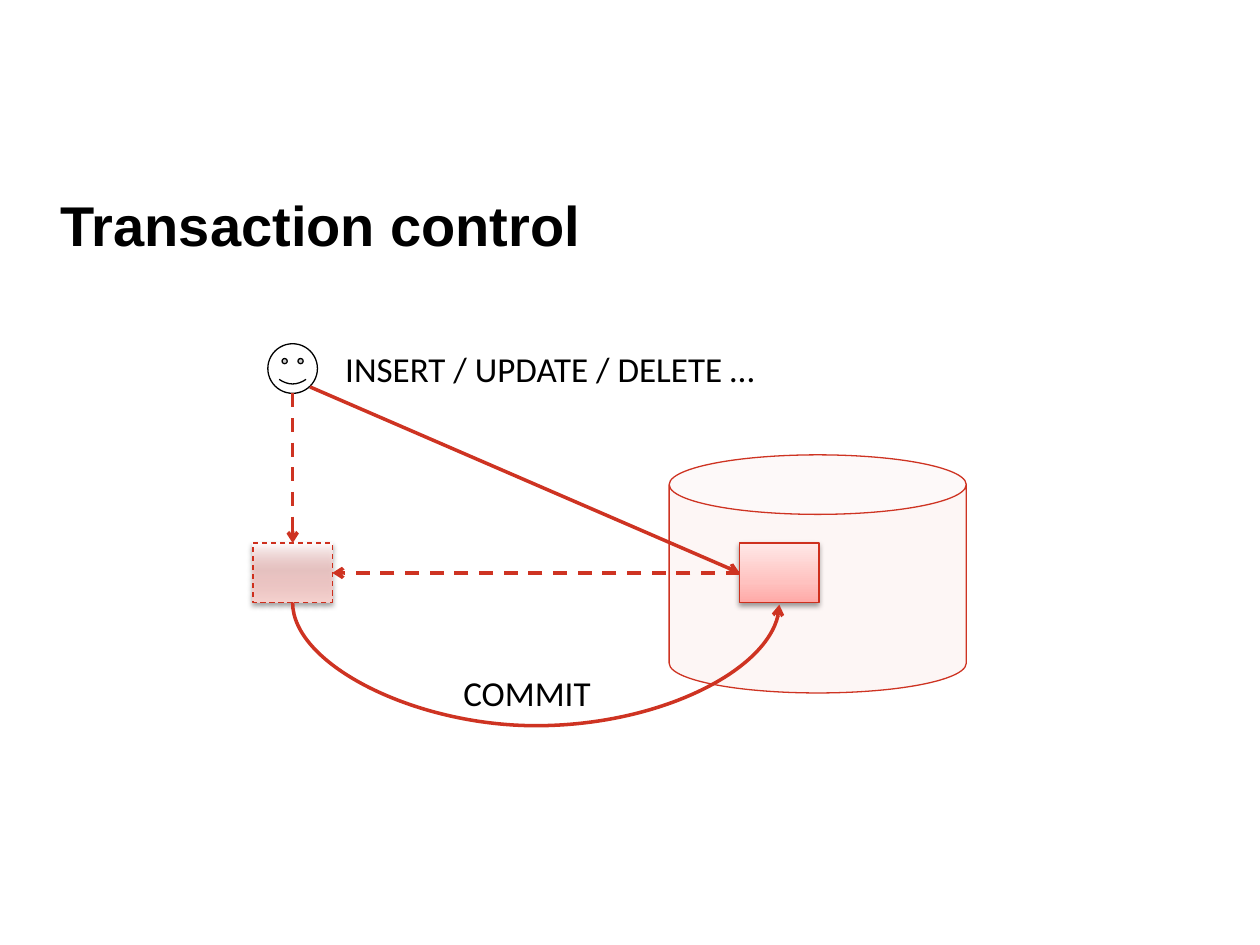
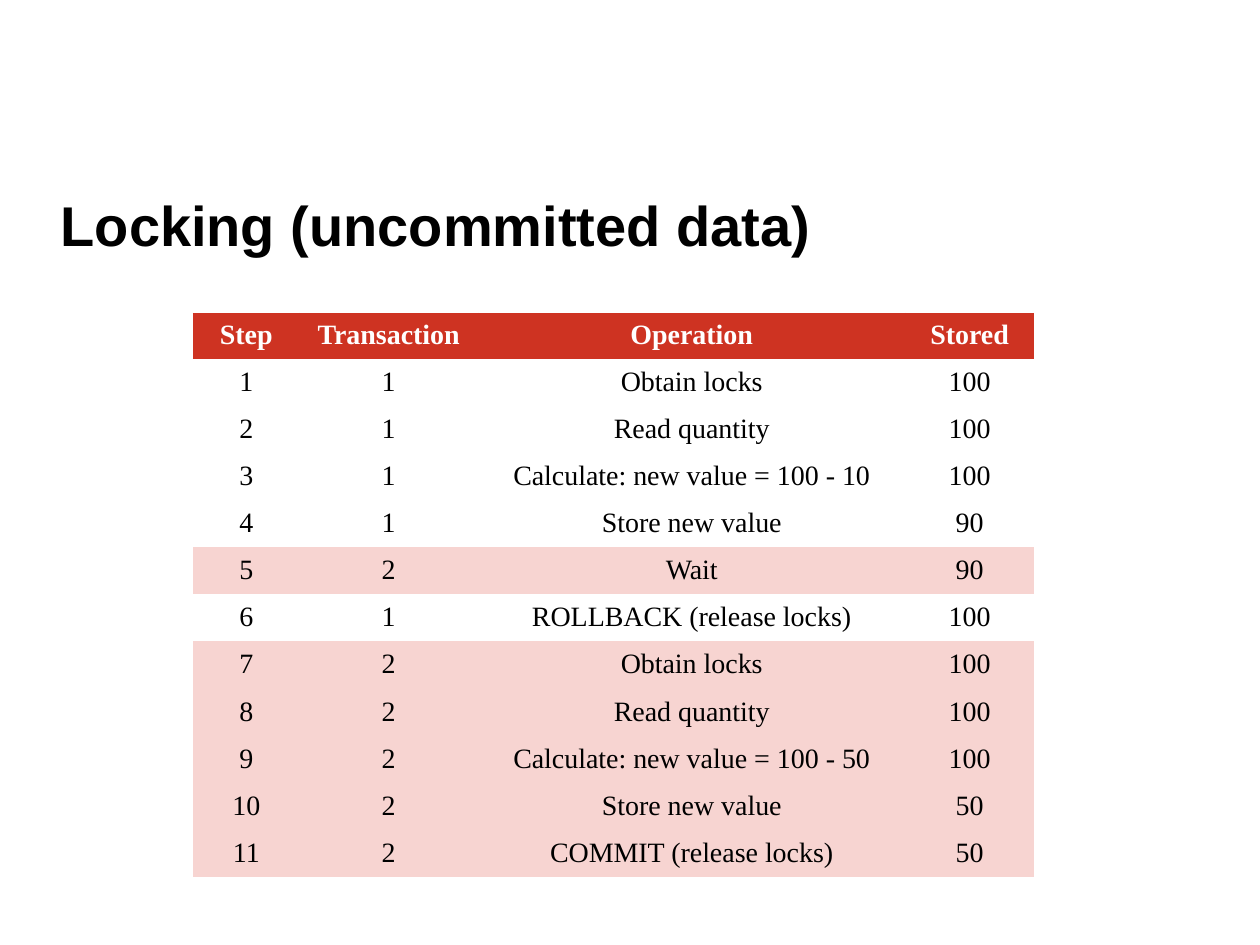
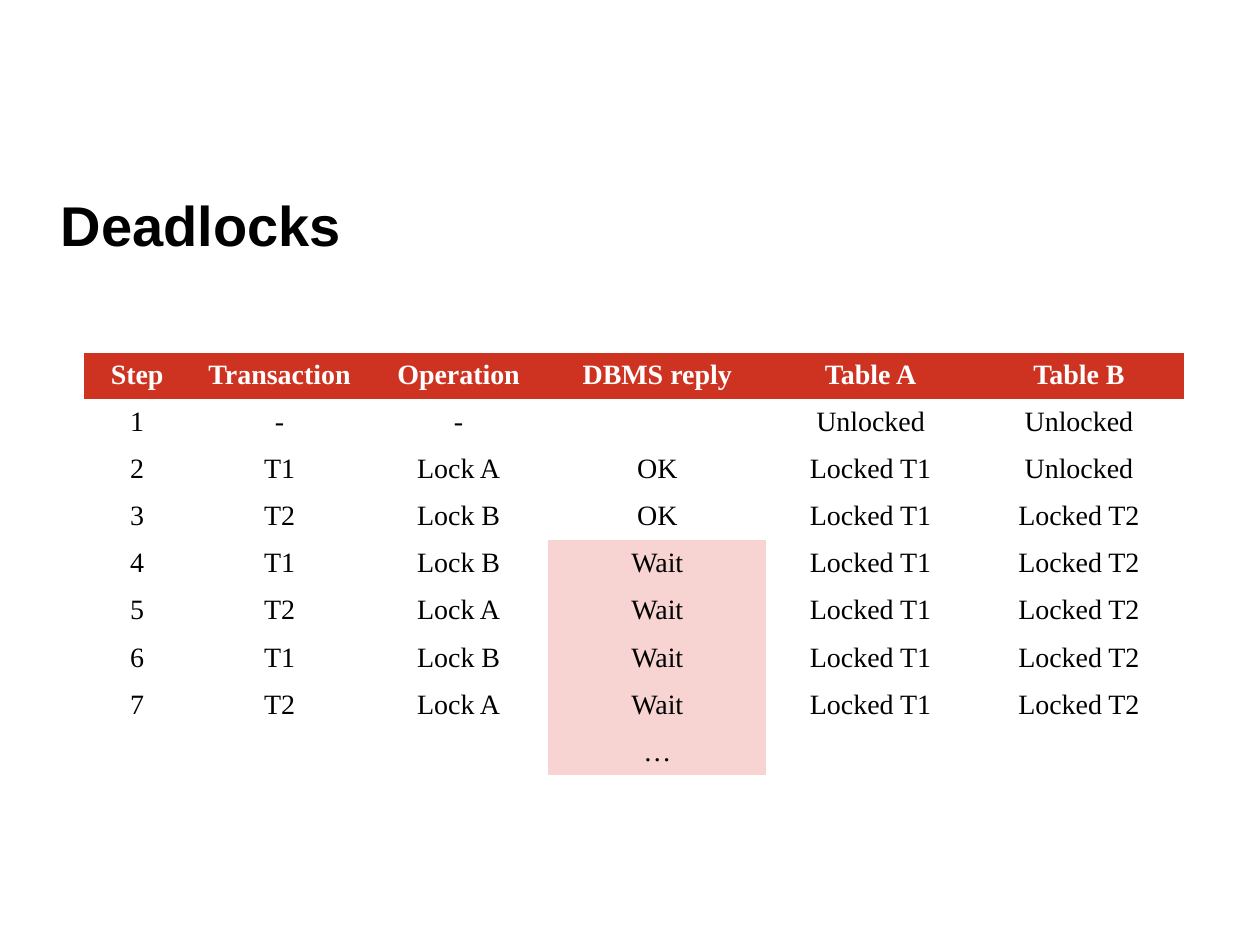
from dataclasses import dataclass

from lxml.etree import SubElement
from pptx import Presentation
from pptx.dml.color import RGBColor
from pptx.enum.dml import MSO_LINE
from pptx.enum.shapes import MSO_CONNECTOR, MSO_SHAPE
from pptx.enum.text import MSO_ANCHOR, PP_ALIGN
from pptx.oxml.ns import qn
from pptx.util import Cm, Pt


@dataclass(frozen=True)
class Theme:
    black: str = "000000"
    white: str = "FFFFFF"
    red: str = "CE3322"
    box_line: str = "CE2F1D"
    pale_red: str = "F7D4D1"
    cylinder: str = "FDF6F5"
    # Gradient stops, bottom to top: position %, colour, opacity %
    solid_box: tuple = ((0, "FFA9A7", 100), (35, "FFC2C0", 100), (100, "FFE8E7", 100))
    faded_box: tuple = ((0, "F7D4D1", 100), (53, "FFC2C0", 60), (100, "FFFFFF", 100))
    title_font: str = "Arial"
    label_font: str = "Calibri"
    table_font: str = "Times New Roman"
    title_size: int = 32
    label_size: int = 20
    table_size: int = 16
    thin: float = 0.75
    thick: float = 2


NO_TABLE_STYLE = "{2D5ABB26-0587-4C30-8999-92F81FD0307C}"


def rgb(value):
    return RGBColor.from_string(value)


def sub(parent, tag, **attrs):
    return SubElement(parent, qn(tag), {k: str(v) for k, v in attrs.items()})


class Deck:
    def __init__(self, theme):
        self.theme = theme
        self.prs = Presentation()
        self.prs.slide_width, self.prs.slide_height = Cm(25.4), Cm(19.05)
        self.slide = None

    def font(self, p, name, size, color, bold=False):
        p.font.name, p.font.size, p.font.bold = name, Pt(size), bold
        p.font.color.rgb = rgb(color)

    def line(self, line, color, width, dashed=False):
        line.color.rgb, line.width = rgb(color), Pt(width)
        if dashed:
            line.dash_style = MSO_LINE.DASH

    def new_slide(self, title):
        t = self.theme
        self.slide = self.prs.slides.add_slide(self.prs.slide_layouts[5])
        sp = self.slide.shapes.title
        sp.left, sp.top, sp.width, sp.height = Cm(0.97), Cm(3.56), Cm(23.47), Cm(1.93)
        tf = sp.text_frame
        tf.text = title
        tf.vertical_anchor = MSO_ANCHOR.MIDDLE
        p = tf.paragraphs[0]
        p.alignment = PP_ALIGN.LEFT
        self.font(p, t.title_font, t.title_size, t.black, True)

    def label(self, text, x, y, w, h=1.12):
        t = self.theme
        tf = self.slide.shapes.add_textbox(Cm(x), Cm(y), Cm(w), Cm(h)).text_frame
        tf.word_wrap = True
        tf.text = text
        self.font(tf.paragraphs[0], t.label_font, t.label_size, t.black)

    def shape(self, kind, x, y, w, h, line, fill=None, dashed=False):
        sp = self.slide.shapes.add_shape(kind, Cm(x), Cm(y), Cm(w), Cm(h))
        sp.shadow.inherit = False
        if fill:
            sp.fill.solid()
            sp.fill.fore_color.rgb = rgb(fill)
        self.line(sp.line, line, self.theme.thin, dashed)
        return sp

    def data_box(self, x, y, w, h, stops, dashed=False):
        """A block of data with a vertical gradient and a soft shadow."""
        sp = self.shape(MSO_SHAPE.RECTANGLE, x, y, w, h, self.theme.box_line, dashed=dashed)
        sp.fill.gradient()
        sp.fill.gradient_angle = 90
        spPr = sp._element.spPr
        gs_list = spPr.find(".//" + qn("a:gsLst"))
        for gs in list(gs_list):
            gs_list.remove(gs)
        for pos, color, opacity in stops:
            gs = sub(gs_list, "a:gs", pos=pos * 1000)
            clr = sub(gs, "a:srgbClr", val=color)
            if opacity < 100:
                sub(clr, "a:alpha", val=opacity * 1000)
        shadow = sub(spPr.find(qn("a:effectLst")), "a:outerShdw", blurRad=Pt(3.1),
                     dist=Pt(1.6), dir=5400000, rotWithShape=0)
        sub(sub(shadow, "a:srgbClr", val=self.theme.black), "a:alpha", val=38000)

    def arrow(self, x1, y1, x2, y2, dashed=False, kind=MSO_CONNECTOR.STRAIGHT):
        cx = self.slide.shapes.add_connector(kind, Cm(x1), Cm(y1), Cm(x2), Cm(y2))
        self.line(cx.line, self.theme.red, self.theme.thick, dashed)
        sub(cx.line._get_or_add_ln(), "a:tailEnd", type="arrow")
        sub(cx._element.spPr, "a:effectLst")
        return cx

    def sagging_arrow(self, x1, x2, y, sag, drop=0.04):
        """A curve hanging below two points: a quarter-turned, flipped connector."""
        cx = self.arrow(x1, y, x2, y + drop, kind=MSO_CONNECTOR.CURVE)
        span = x2 - x1
        cx.left, cx.top = Cm((x1 + x2 - drop) / 2), Cm(y + (drop - span) / 2)
        cx.width, cx.height = Cm(drop), Cm(span)
        spPr = cx._element.spPr
        xfrm = spPr.find(qn("a:xfrm"))
        xfrm.set("rot", "16200000")
        xfrm.set("flipH", "1")
        geom = spPr.find(qn("a:prstGeom"))
        guides = geom.find(qn("a:avLst"))
        if guides is None:
            guides = sub(geom, "a:avLst")
        sub(guides, "a:gd", name="adj1", fmla=f"val {round(sag / drop * 100000)}")

    def cell(self, cell, text, header, fill):
        t = self.theme
        cell.margin_left = cell.margin_right = Cm(0.13)
        cell.margin_top = cell.margin_bottom = Cm(0.12)
        cell.vertical_anchor = MSO_ANCHOR.TOP if header else MSO_ANCHOR.MIDDLE
        p = cell.text_frame.paragraphs[0]
        p.alignment = PP_ALIGN.CENTER
        if text:
            p.text = text
            self.font(p, t.table_font, t.table_size, t.white if header else t.black, header)
        else:  # keeps an empty row from growing
            sub(p._p, "a:endParaRPr", sz=t.table_size * 100)
        if header:
            tcPr = cell._tc.get_or_add_tcPr()
            for side in ("a:lnL", "a:lnR", "a:lnT", "a:lnB"):
                ln = sub(tcPr, side, w=Pt(t.thin))
                sub(sub(ln, "a:solidFill"), "a:srgbClr", val=t.red)
        if fill:
            cell.fill.solid()
            cell.fill.fore_color.rgb = rgb(fill)
        else:
            cell.fill.background()

    def table(self, x, y, widths, rows, marked):
        """marked(row, column) tells which body cells are tinted."""
        t = self.theme
        heights = [0.9] + [0.95] * (len(rows) - 1)
        frame = self.slide.shapes.add_table(len(rows), len(widths), Cm(x), Cm(y),
                                            Cm(sum(widths)), Cm(sum(heights)))
        tbl = frame.table
        tbl.first_row = tbl.horz_banding = False
        tbl._tbl.tblPr.find(qn("a:tableStyleId")).text = NO_TABLE_STYLE
        for col, width in zip(tbl.columns, widths):
            col.width = Cm(width)
        for r, (row, height) in enumerate(zip(rows, heights)):
            tbl.rows[r].height = Cm(height)
            for c, text in enumerate(row):
                fill = t.red if r == 0 else t.pale_red if marked(r, c) else None
                self.cell(tbl.cell(r, c), text, r == 0, fill)


theme = Theme()
deck = Deck(theme)

# Slide 1: user, local copy and database
deck.new_slide("Transaction control")
user_x, user_y, user_size = 5.4, 6.93, 1.0
box_w, box_h, box_y = 1.6, 1.2, 10.95
copy_x, stored_x = 5.1, 14.91
user_mid, box_mid, box_bottom = user_x + user_size / 2, box_y + box_h / 2, box_y + box_h

deck.shape(MSO_SHAPE.CAN, 13.49, 9.17, 5.99, 4.8, theme.red, theme.cylinder)
deck.shape(MSO_SHAPE.SMILEY_FACE, user_x, user_y, user_size, user_size,
           theme.black, theme.white)
deck.label("INSERT / UPDATE / DELETE …", 6.71, 6.88, 9.4)
deck.data_box(stored_x, box_y, box_w, box_h, theme.solid_box)
deck.arrow(6.25, 7.8, stored_x, box_mid)
deck.data_box(copy_x, box_y, box_w, box_h, theme.faded_box, dashed=True)
deck.arrow(user_mid, user_y + user_size, user_mid, box_y, dashed=True)
deck.arrow(stored_x, box_mid, copy_x + box_w, box_mid, dashed=True)
deck.sagging_arrow(copy_x + box_w / 2, stored_x + box_w / 2, box_bottom, sag=2.48)
deck.label("COMMIT", 9.09, 13.41, 3.81)

# Slide 2: steps of the second transaction are tinted
deck.new_slide("Locking (uncommitted data)")
locking = [
    ("Step", "Transaction", "Operation", "Stored"),
    ("1", "1", "Obtain locks", "100"),
    ("2", "1", "Read quantity", "100"),
    ("3", "1", "Calculate: new value = 100 - 10", "100"),
    ("4", "1", "Store new value", "90"),
    ("5", "2", "Wait", "90"),
    ("6", "1", "ROLLBACK (release locks)", "100"),
    ("7", "2", "Obtain locks", "100"),
    ("8", "2", "Read quantity", "100"),
    ("9", "2", "Calculate: new value = 100 - 50", "100"),
    ("10", "2", "Store new value", "50"),
    ("11", "2", "COMMIT (release locks)", "50"),
]
deck.table(3.9, 6.32, (2.13, 3.61, 8.61, 2.59), locking,
           lambda r, c: locking[r][1] == "2")

# Slide 3: replies that never come are tinted
deck.new_slide("Deadlocks")
deadlocks = [
    ("Step", "Transaction", "Operation", "DBMS reply", "Table A", "Table B"),
    ("1", "-", "-", "", "Unlocked", "Unlocked"),
    ("2", "T1", "Lock A", "OK", "Locked T1", "Unlocked"),
    ("3", "T2", "Lock B", "OK", "Locked T1", "Locked T2"),
    ("4", "T1", "Lock B", "Wait", "Locked T1", "Locked T2"),
    ("5", "T2", "Lock A", "Wait", "Locked T1", "Locked T2"),
    ("6", "T1", "Lock B", "Wait", "Locked T1", "Locked T2"),
    ("7", "T2", "Lock A", "Wait", "Locked T1", "Locked T2"),
    ("", "", "", "…", "", ""),
]
deck.table(1.7, 7.13, (2.13, 3.61, 3.61, 4.4, 4.2, 4.2), deadlocks,
           lambda r, c: deadlocks[r][c] in ("Wait", "…"))

deck.prs.save("out.pptx")
